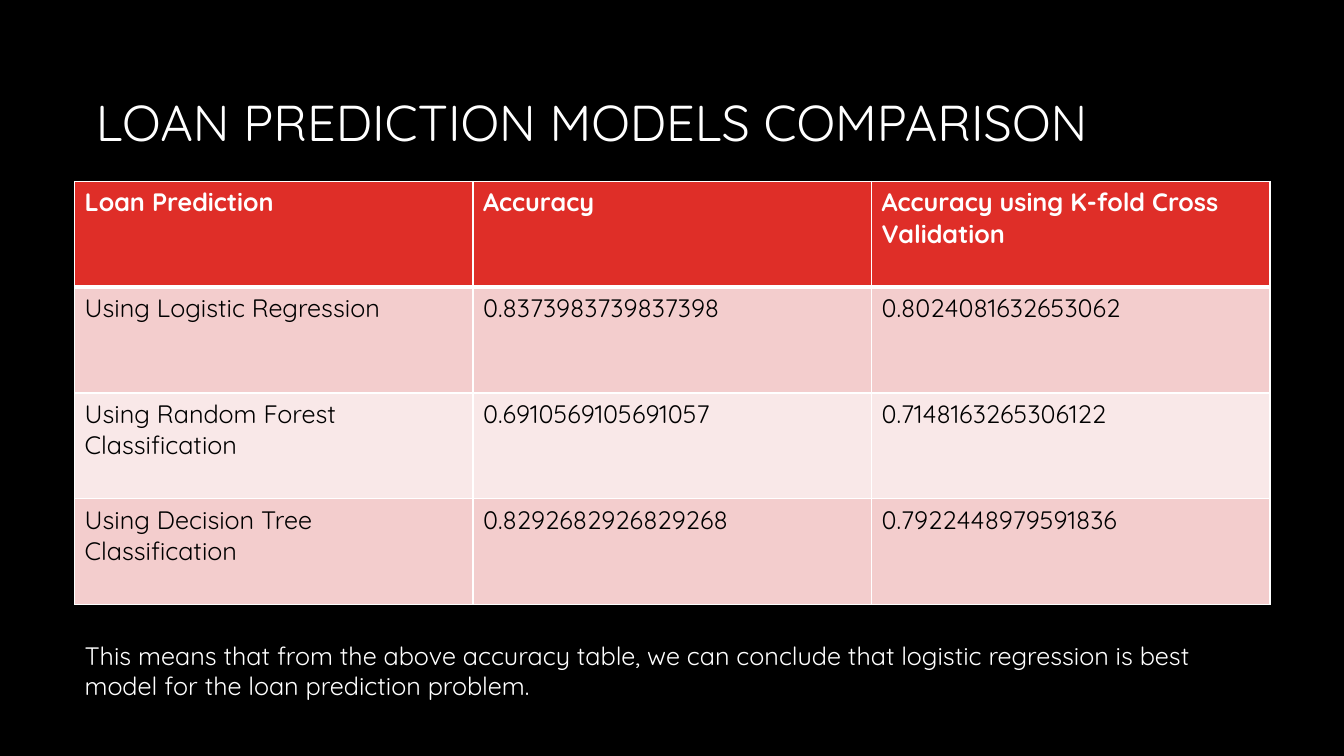
from dataclasses import dataclass

from lxml.etree import SubElement
from pptx import Presentation
from pptx.dml.color import RGBColor
from pptx.enum.text import MSO_ANCHOR, MSO_AUTO_SIZE, PP_ALIGN
from pptx.oxml.ns import qn
from pptx.util import Pt

FONT = "Quicksand"
COLORS = {
    "background": "000000",
    "light": "FFFFFF",
    "dark": "000000",
    "header": "DF2E28",
    "odd": "F3CDCD",
    "even": "F9E8E8",
}
LEFT = 53.28
COLUMN_WIDTH = 284.64
ROW_HEIGHT = 75.6


@dataclass
class Row:
    texts: tuple[str, str, str]
    fill: str
    color: str = "dark"
    bold: bool = False
    top: float = 1
    bottom: float = 1


ROWS = [
    Row(("Loan Prediction", "Accuracy", "Accuracy using K-fold Cross Validation"),
        "header", "light", True, bottom=3),
    Row(("Using Logistic Regression", "0.8373983739837398", "0.8024081632653062"),
        "odd", top=3),
    Row(("Using Random Forest Classification", "0.6910569105691057", "0.7148163265306122"),
        "even"),
    Row(("Using Decision Tree Classification", "0.8292682926829268", "0.7922448979591836"),
        "odd"),
]


def rgb(name: str) -> RGBColor:
    return RGBColor.from_string(COLORS[name])


def add_run(p, text: str, size: float, color: str, bold: bool = False) -> None:
    r = p.add_run()
    r.text = text
    r.font.name = FONT
    r.font.size = Pt(size)
    r.font.bold = bold
    r.font.color.rgb = rgb(color)


def add_borders(cell, row: Row) -> None:
    tc_pr = cell._tc.get_or_add_tcPr()
    widths = {"a:lnL": 1, "a:lnR": 1, "a:lnT": row.top, "a:lnB": row.bottom}
    for tag, width in widths.items():
        ln = SubElement(tc_pr, qn(tag), w=str(Pt(width)))
        fill = SubElement(ln, qn("a:solidFill"))
        SubElement(fill, qn("a:srgbClr"), val=COLORS["light"])


def add_title(s, text: str) -> None:
    sp = s.shapes.title
    sp.left, sp.top, sp.width, sp.height = Pt(LEFT), Pt(48.24), Pt(730.8), Pt(82.08)
    tf = sp.text_frame
    tf.word_wrap = True
    tf.vertical_anchor = MSO_ANCHOR.MIDDLE
    p = tf.paragraphs[0]
    p.alignment = PP_ALIGN.RIGHT
    p.line_spacing = 0.9
    add_run(p, text, 36, "light")


def add_comparison(s, rows: list[Row]) -> None:
    columns = len(rows[0].texts)
    table = s.shapes.add_table(
        len(rows), columns, Pt(LEFT), Pt(129.6),
        Pt(COLUMN_WIDTH * columns), Pt(ROW_HEIGHT * len(rows)),
    ).table
    for column in table.columns:
        column.width = Pt(COLUMN_WIDTH)
    for i, row in enumerate(rows):
        table.rows[i].height = Pt(ROW_HEIGHT)
        for j, text in enumerate(row.texts):
            cell = table.cell(i, j)
            add_borders(cell, row)
            cell.fill.solid()
            cell.fill.fore_color.rgb = rgb(row.fill)
            add_run(cell.text_frame.paragraphs[0], text, 18, row.color, row.bold)


def add_conclusion(s, text: str) -> None:
    sp = s.shapes.add_textbox(Pt(LEFT), Pt(453.6), Pt(822.24), Pt(51.12))
    tf = sp.text_frame
    tf.word_wrap = True
    tf.auto_size = MSO_AUTO_SIZE.SHAPE_TO_FIT_TEXT
    add_run(tf.paragraphs[0], text, 18, "light")


def main() -> None:
    prs = Presentation()
    prs.slide_width, prs.slide_height = Pt(960), Pt(540)
    s = prs.slides.add_slide(prs.slide_layouts.get_by_name("Title Only"))
    s.background.fill.solid()
    s.background.fill.fore_color.rgb = rgb("background")
    add_title(s, "LOAN PREDICTION MODELS COMPARISON")
    add_comparison(s, ROWS)
    add_conclusion(s, "This means that from the above accuracy table, we can conclude that "
                      "logistic regression is best model for the loan prediction problem.")
    prs.save("out.pptx")


if __name__ == "__main__":
    main()
